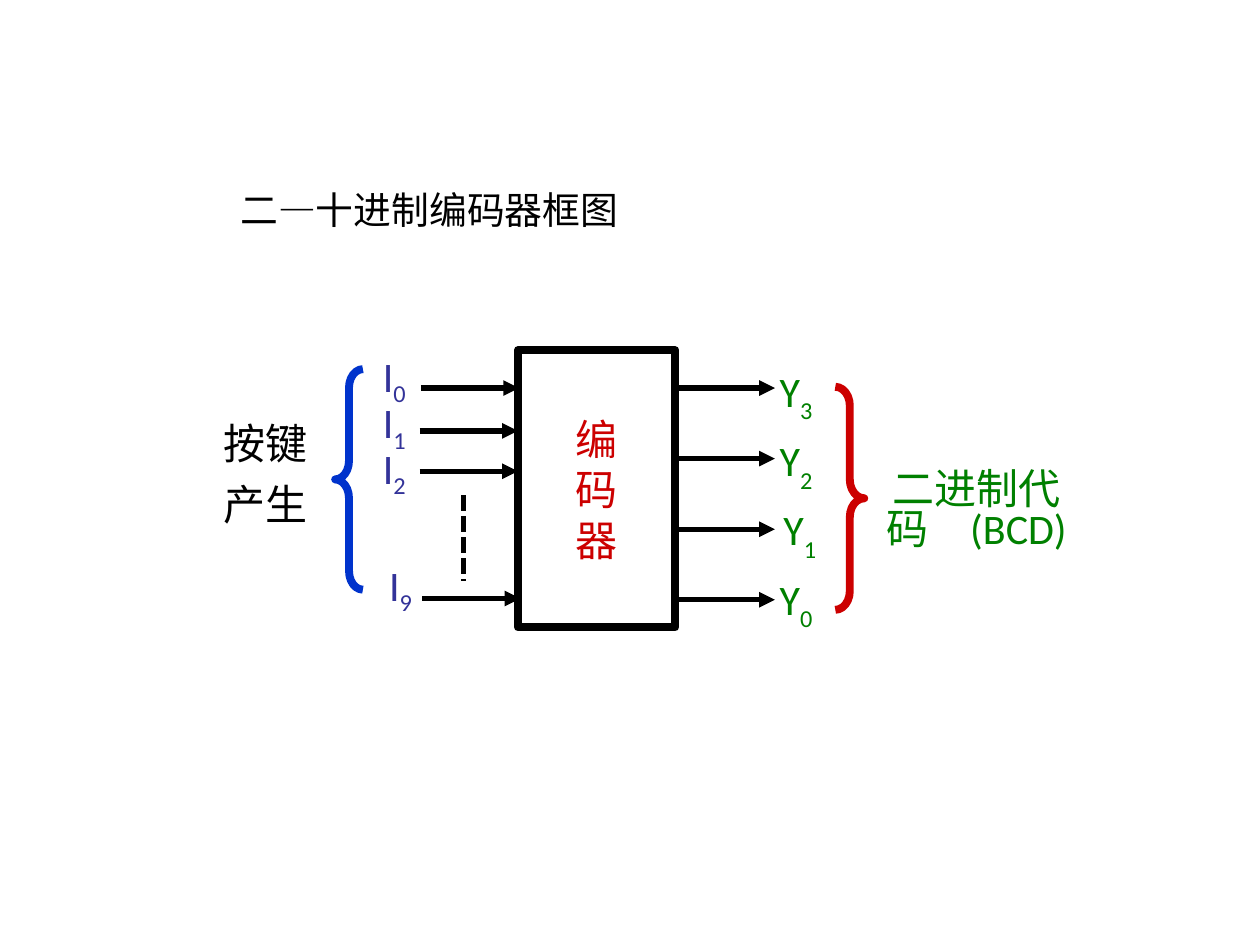
from lxml.etree import SubElement
from pptx import Presentation
from pptx.dml.color import RGBColor
from pptx.enum.dml import MSO_LINE
from pptx.enum.shapes import MSO_CONNECTOR, MSO_SHAPE
from pptx.enum.text import MSO_ANCHOR, PP_ALIGN
from pptx.oxml.ns import qn
from pptx.util import Inches, Pt

COLORS = {
    "black": "000000",
    "encoder": "CC0000",
    "input": "333399",
    "input_brace": "0033CC",
    "output": "008000",
}
FONT = "Calibri"


def rgb(color):
    return RGBColor.from_string(COLORS[color])


def style_paragraph(paragraph, color, size=24, align=PP_ALIGN.CENTER):
    paragraph.alignment = align
    paragraph.font.name = FONT
    paragraph.font.size = Pt(size)
    paragraph.font.color.rgb = rgb(color)


def write_lines(frame, lines, color, size=24, align=PP_ALIGN.CENTER,
                spacing=None, gap=None):
    for index, line in enumerate(lines):
        paragraph = frame.add_paragraph() if index else frame.paragraphs[0]
        paragraph.add_run().text = line
        style_paragraph(paragraph, color, size, align)
        paragraph.line_spacing = spacing
        if index and gap:
            paragraph.space_before = Pt(gap)


def add_text_frame(slide, left, top, width, height):
    frame = slide.shapes.add_textbox(
        Inches(left), Inches(top), Inches(width), Inches(height)).text_frame
    frame.word_wrap = True
    return frame


def add_signal_label(slide, left, top, width, letter, subscript, baseline, color):
    paragraph = add_text_frame(slide, left, top, width, 0.51).paragraphs[0]
    paragraph.add_run().text = letter
    index = paragraph.add_run()
    index.text = subscript
    index.font._element.set("baseline", str(baseline * 1000))
    style_paragraph(paragraph, color)


def add_line(slide, start, end, dotted=False):
    line = slide.shapes.add_connector(
        MSO_CONNECTOR.STRAIGHT, *(Inches(value) for value in (*start, *end)))
    line.line.color.rgb = rgb("black")
    line.line.width = Pt(3)
    properties = line._element.spPr
    if dotted:
        line.line.dash_style = MSO_LINE.SQUARE_DOT
    else:
        SubElement(properties.find(qn("a:ln")), qn("a:tailEnd"), type="triangle")
    SubElement(properties, qn("a:effectLst"))


def add_outline(slide, kind, left, top, width, height, color):
    outline = slide.shapes.add_shape(
        kind, Inches(left), Inches(top), Inches(width), Inches(height))
    outline.shadow.inherit = False
    outline.fill.background()
    outline.line.color.rgb = rgb(color)
    outline.line.width = Pt(4.5)
    return outline


def add_brace(slide, kind, left, top, width, height, color, curve):
    brace = add_outline(slide, kind, left, top, width, height, color)
    brace.adjustments[0] = curve
    brace.adjustments[1] = 0.5


def add_encoder(slide):
    frame = add_outline(
        slide, MSO_SHAPE.RECTANGLE, 4.11, 2.78, 1.25, 2.2, "black").text_frame
    frame.word_wrap = False
    frame.vertical_anchor = MSO_ANCHOR.MIDDLE
    write_lines(frame, "编码器", "encoder")


def add_inputs(slide):
    inputs = [
        ("0", 3.34, 3.08, 2.85, 2.73),
        ("1", 3.33, 3.42, 2.85, 3.1),
        ("2", 3.33, 3.74, 2.85, 3.46),
        ("9", 3.35, 4.75, 2.9, 4.39),
    ]
    for number, arrow_left, arrow_y, label_left, label_top in inputs:
        add_line(slide, (arrow_left, arrow_y), (arrow_left + 0.78, arrow_y))
        add_signal_label(slide, label_left, label_top, 0.56,
                         "I", number, -25, "input")
    add_line(slide, (3.68, 3.93), (3.68, 4.61), dotted=True)


def add_outputs(slide):
    for row, number in enumerate("3210"):
        arrow_y = 3.08 + 0.56 * row
        add_line(slide, (5.36, arrow_y), (6.15, arrow_y))
        label_left = 6.02 if number == "1" else 5.99
        add_signal_label(slide, label_left, 2.85 + 0.55 * row, 0.7,
                         "Y", number + " ", -30, "output")


def main():
    presentation = Presentation()
    presentation.slide_width = Inches(10)
    presentation.slide_height = Inches(7.5)
    slide = presentation.slides.add_slide(presentation.slide_layouts[6])

    title = add_text_frame(slide, 1.81, 1.44, 3.5, 0.49)
    title.vertical_anchor = MSO_ANCHOR.MIDDLE
    write_lines(title, ["二—十进制编码器框图"], "black", 21.6, PP_ALIGN.LEFT, 0.9)

    add_encoder(slide)
    add_inputs(slide)
    add_outputs(slide)

    add_brace(slide, MSO_SHAPE.LEFT_BRACE, 2.66, 2.93, 0.22, 1.75,
              "input_brace", 0.67)
    keys = add_text_frame(slide, 1.47, 3.34, 1.27, 0.96)
    write_lines(keys, ["按键", "产生"], "black", spacing=0.8, gap=12)

    add_brace(slide, MSO_SHAPE.RIGHT_BRACE, 6.63, 3.07, 0.23, 1.77,
              "encoder", 0.65)
    code = add_text_frame(slide, 6.84, 3.7, 1.82, 0.75)
    write_lines(code, ["二进制代码　(BCD)"], "output", spacing=0.8)

    presentation.save("out.pptx")


if __name__ == "__main__":
    main()
